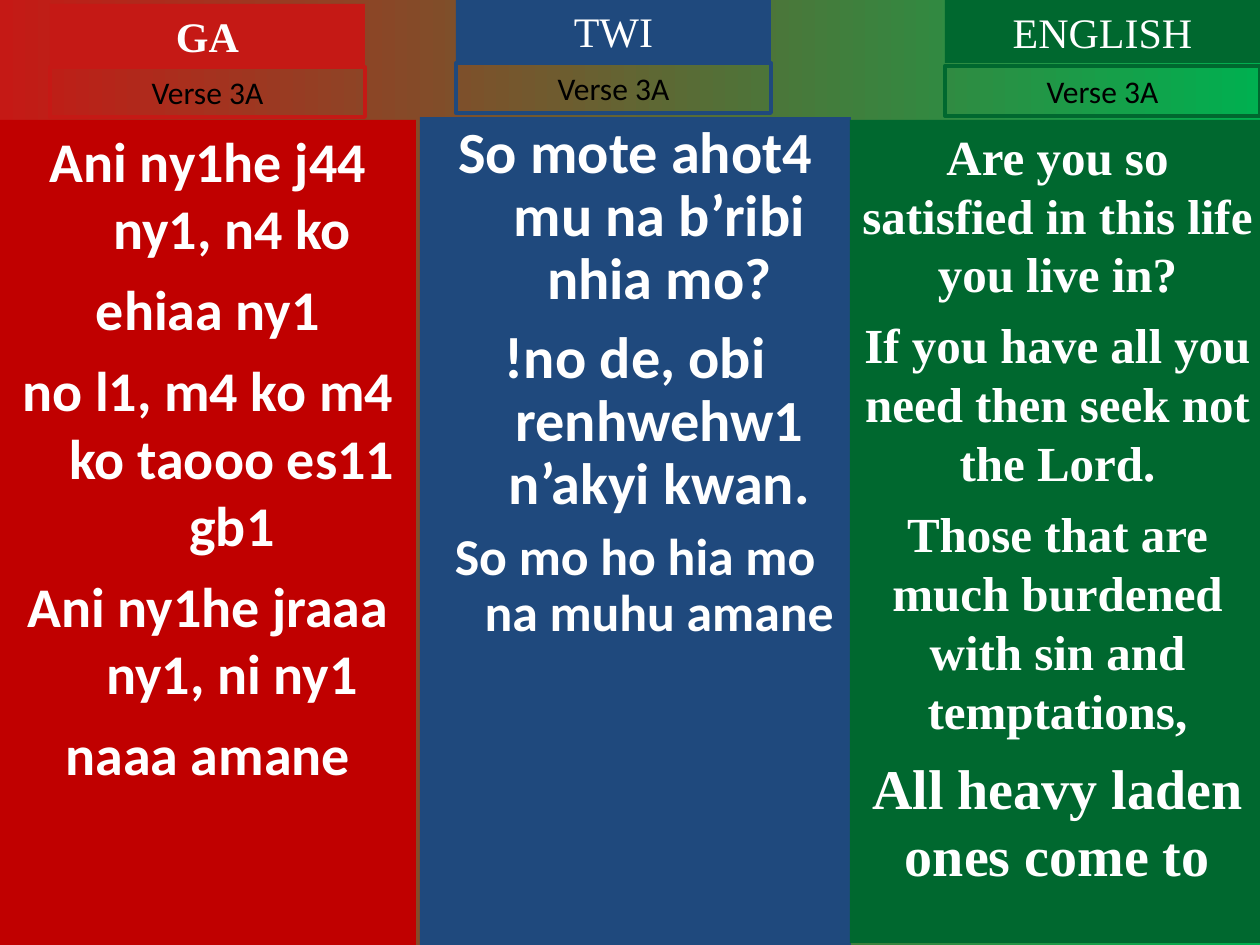
import pptx
import pptx.dml.color
import pptx.enum.shapes
import pptx.enum.text
import pptx.util

RGB = pptx.dml.color.RGBColor
RED, DARK_RED = RGB(0xC5, 0x19, 0x15), RGB(0xC0, 0x00, 0x00)
BLUE, GREEN = RGB(0x1F, 0x49, 0x7D), RGB(0x00, 0x68, 0x2F)
BRIGHT_GREEN = RGB(0x00, 0xB0, 0x50)
WHITE, BLACK = RGB(0xFF, 0xFF, 0xFF), RGB(0, 0, 0)
SANS, SERIF = "Calibri", "Times New Roman"

# Content: boxes are left, top, width, height in px; lines are text, size, space before
COLUMNS = [
    dict(title="GA", bold=True, color=RED, title_box=(50, 4, 315, 63),
         verse_box=(50, 67, 315, 50), body_box=(0, 120, 416, 825),
         body_color=DARK_RED, font=SANS, hang=48, spacing=None,
         lines=[("Ani ny1he j44 ny1, n4 ko", 32, 0),
                ("ehiaa ny1", 32, 8),
                ("no l1, m4 ko m4 ko taooo es11 gb1", 32, 8),
                ("Ani ny1he jraaa ny1, ni ny1", 32, 8),
                ("naaa amane", 32, 8)]),
    dict(title="TWI", bold=False, color=BLUE, title_box=(456, -1, 315, 63),
         verse_box=(456, 63, 315, 50), body_box=(420, 117, 431, 828),
         body_color=BLUE, font=SANS, hang=48, spacing=0.9,
         lines=[("So mote ahot4 mu na b’ribi nhia mo?", 33.3, 0),
                ("!no de, obi renhwehw1 n’akyi kwan.", 33.3, 9),
                ("So mo ho hia mo na muhu amane", 29.6, 8)]),
    dict(title="ENGLISH", bold=False, color=GREEN, title_box=(945, 0, 315, 63),
         verse_box=(945, 66, 315, 50), body_box=(850, 120, 415, 823),
         body_color=GREEN, font=SERIF, hang=0, spacing=None,
         lines=[("Are you so satisfied in this life you live in?", 28, 0),
                ("If you have all you need then seek not the Lord.", 28, 7),
                ("Those that are much burdened with sin and temptations,", 28, 7),
                ("All heavy laden ones come to", 32, 8)]),
]
VERSE = "Verse 3A"


def px(n):
    return pptx.util.Emu(round(n * 914400 / 126))


def add_box(slide, box, fill=None, line=None):
    """Add a rectangle and return its top-anchored text frame."""
    sp = slide.shapes.add_shape(
        pptx.enum.shapes.MSO_SHAPE.RECTANGLE, *[px(n) for n in box])
    sp.shadow.inherit = False
    if fill is None:
        sp.fill.background()
    else:
        sp.fill.solid()
        sp.fill.fore_color.rgb = fill
    if line is None:
        sp.line.fill.background()
    else:
        sp.line.color.rgb = line
        sp.line.width = pptx.util.Pt(2.25)
    tf = sp.text_frame
    tf.word_wrap = True
    tf.vertical_anchor = pptx.enum.text.MSO_ANCHOR.TOP
    return tf


def write(p, text, size, font, color, bold=False):
    p.alignment = pptx.enum.text.PP_ALIGN.CENTER
    r = p.add_run()
    r.text = text
    r.font.size = pptx.util.Pt(size)
    r.font.name = font
    r.font.bold = bold
    r.font.color.rgb = color


prs = pptx.Presentation()
prs.slide_width, prs.slide_height = px(1260), px(945)
slide = prs.slides.add_slide(prs.slide_layouts[6])

# Background gradient, left to right
bg = slide.background.fill
bg.gradient()
bg.gradient_angle = 0
for stop, color, position in zip(bg.gradient_stops, (RED, BRIGHT_GREEN), (0, 1)):
    stop.color.rgb = color
    stop.position = position

for col in COLUMNS:
    # Lyrics
    tf = add_box(slide, col["body_box"], fill=col["body_color"])
    for i, (text, size, before) in enumerate(col["lines"]):
        p = tf.add_paragraph() if i else tf.paragraphs[0]
        p.space_before = pptx.util.Pt(before)
        if col["spacing"]:
            p.line_spacing = col["spacing"]
        if col["hang"]:
            pPr = p._p.get_or_add_pPr()
            pPr.set("marL", str(px(col["hang"])))
            pPr.set("indent", str(-px(col["hang"])))
        write(p, text, size, col["font"], WHITE, bold=True)

    # Language title and verse label
    tf = add_box(slide, col["title_box"], fill=col["color"])
    write(tf.paragraphs[0], col["title"], 24, SERIF, WHITE, col["bold"])
    tf = add_box(slide, col["verse_box"], line=col["color"])
    write(tf.paragraphs[0], VERSE, 18, SANS, BLACK)

prs.save("out.pptx")
